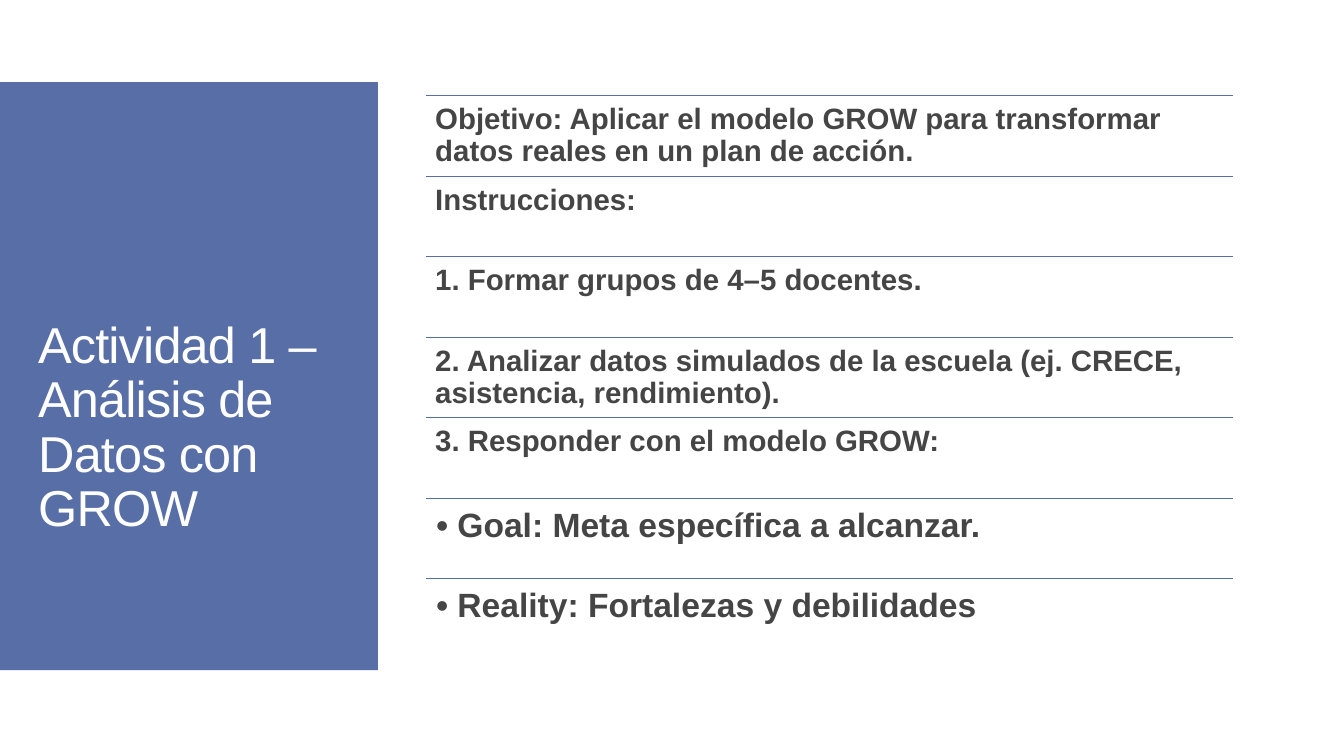
"""Build the slide for activity 1, data analysis with the GROW model."""
from dataclasses import dataclass

from lxml.etree import SubElement
from pptx import Presentation
from pptx.dml.color import RGBColor as Color
from pptx.enum.shapes import MSO_CONNECTOR as Connector, MSO_SHAPE as Shape
from pptx.enum.text import MSO_ANCHOR as Anchor
from pptx.oxml.ns import qn
from pptx.util import Pt

TITLE = "Actividad 1 – Análisis de Datos con GROW"
STEPS = [
    "Objetivo: Aplicar el modelo GROW para transformar datos reales en un plan de acción.",
    "Instrucciones:",
    "1. Formar grupos de 4–5 docentes.",
    "2. Analizar datos simulados de la escuela (ej. CRECE, asistencia, rendimiento).",
    "3. Responder con el modelo GROW:",
]
GROW_POINTS = [
    "• Goal: Meta específica a alcanzar.",
    "• Reality: Fortalezas y debilidades",
]


@dataclass(frozen=True)
class Theme:
    """Colours, font and type sizes."""
    blue: Color = Color.from_string("586EA6")
    white: Color = Color.from_string("FFFFFF")
    ink: Color = Color.from_string("454545")
    font: str = "Arial"
    title_size: int = 36
    step_size: int = 21
    point_size: int = 24
    rule_width: float = 0.85


THEME = Theme()
PAGE_WIDTH, PAGE_HEIGHT = 960, 540
PANEL = (0, 58.6, 270, 420)
TITLE_BOX = (20.2, 161.3, 231.8, 290)
LIST_LEFT, LIST_TOP, LIST_WIDTH, ROW_HEIGHT = 304.6, 68.4, 576, 57.5


def add_panel(page):
    """Draw the blue panel behind the title."""
    panel = page.shapes.add_shape(Shape.RECTANGLE, *map(Pt, PANEL))
    panel.shadow.inherit = False
    panel.fill.solid()
    panel.fill.fore_color.rgb = THEME.blue
    panel.line.fill.background()


def add_text(page, area, text, size, color, inset=7.2, bold=False):
    """Add a wrapped text box and return it."""
    box = page.shapes.add_textbox(*map(Pt, area))
    frame = box.text_frame
    frame.word_wrap = True
    frame.margin_left = frame.margin_right = Pt(inset)
    frame.margin_top = frame.margin_bottom = Pt(inset)
    frame.text = text
    para = frame.paragraphs[0]
    para.line_spacing = 0.9
    font = para.runs[0].font
    font.name, font.size, font.bold = THEME.font, Pt(size), bold
    font.color.rgb = color
    return box


def add_title(page):
    """Add the title with slightly tightened letters."""
    box = add_text(page, TITLE_BOX, TITLE, THEME.title_size, THEME.white)
    frame = box.text_frame
    frame.vertical_anchor = Anchor.MIDDLE
    span = frame.paragraphs[0].runs[0]
    span.font._element.set("spc", "-60")


def add_rule(page, top):
    """Draw the thin line above a row."""
    rule = page.shapes.add_connector(
        Connector.STRAIGHT, Pt(LIST_LEFT), Pt(top), Pt(LIST_LEFT + LIST_WIDTH), Pt(top))
    rule.line.color.rgb = THEME.blue
    rule.line.width = Pt(THEME.rule_width)
    SubElement(rule._element.spPr, qn("a:effectLst"))


def main():
    """Create and save the deck."""
    deck = Presentation()
    deck.slide_width, deck.slide_height = Pt(PAGE_WIDTH), Pt(PAGE_HEIGHT)
    page = deck.slides.add_slide(deck.slide_layouts[6])
    add_panel(page)
    add_title(page)
    rows = [(text, THEME.step_size, 6.3) for text in STEPS]
    rows += [(text, THEME.point_size, 7.2) for text in GROW_POINTS]
    for index, (text, size, inset) in enumerate(rows):
        top = LIST_TOP + index * ROW_HEIGHT
        add_rule(page, top)
        area = (LIST_LEFT, top, LIST_WIDTH, ROW_HEIGHT)
        add_text(page, area, text, size, THEME.ink, inset, bold=True)
    deck.save("out.pptx")


if __name__ == "__main__":
    main()
